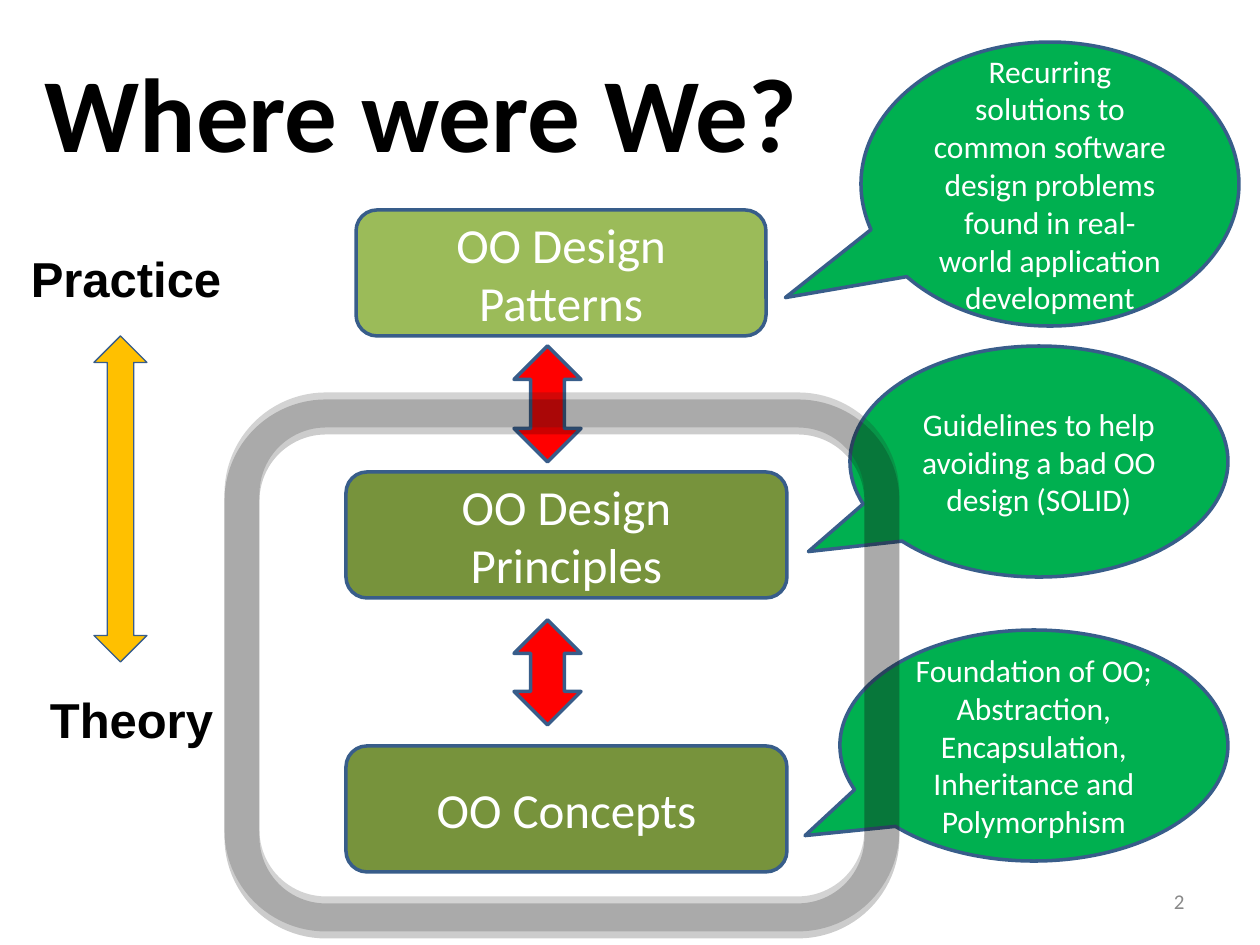
from lxml import etree
from pptx import Presentation
from pptx import util as u
from pptx.dml import color
from pptx.enum import shapes, text
from pptx.oxml import ns

SCALE = 914400 / 126
OUTLINE = "385D8A"
SHAPE = shapes.MSO_SHAPE
ALIGN = text.PP_ALIGN
ANCHOR = text.MSO_ANCHOR


def px(length):
    """Turn picture pixels into EMU."""
    return u.Emu(round(length * SCALE))


def rgb(value):
    """Turn a hex string into a colour."""
    return color.RGBColor.from_string(value)


def write(shape, words, size, hue, font="Calibri", bold=False,
          align=ALIGN.CENTER, anchor=ANCHOR.MIDDLE):
    """Put one formatted run into a shape."""
    frame = shape.text_frame
    frame.word_wrap = True
    frame.auto_size = text.MSO_AUTO_SIZE.NONE
    frame.vertical_anchor = anchor
    paragraph = frame.paragraphs[0]
    paragraph.alignment = align
    run = paragraph.add_run()
    run.text = words
    run.font.size = u.Pt(size)
    run.font.name = font
    run.font.bold = bold
    run.font.color.rgb = rgb(hue)


def add_shape(slide, kind, box, fill, line=OUTLINE, width=2, adjust=()):
    """Add a preset shape with a flat fill and an outline."""
    shape = slide.shapes.add_shape(kind, *map(px, box))
    shape.shadow.inherit = False
    if fill:
        shape.fill.solid()
        shape.fill.fore_color.rgb = rgb(fill)
    else:
        shape.fill.background()
    shape.line.color.rgb = rgb(line)
    shape.line.width = u.Pt(width)
    for index, value in enumerate(adjust):
        shape.adjustments[index] = value
    return shape


def add_label(slide, box, *args, **options):
    """Add a text box."""
    write(slide.shapes.add_textbox(*map(px, box)), *args, **options)


def add_title(slide, box, words):
    """Move and format the title placeholder."""
    title = slide.shapes.title
    title.left, title.top, title.width, title.height = map(px, box)
    write(title, words, 60, "000000", bold=True, align=ALIGN.LEFT)


def add_levels(slide, box):
    """Stack the three levels and the arrows between them."""
    left, top, width, height = box
    levels = [("OO Concepts", 0, 536, width, "77933C"),
              ("OO Design Principles", 0, 262, width, "77933C"),
              ("OO Design Patterns", 10, 0, 410, "9BBB59")]
    for words, dx, dy, level_width, fill in levels:
        level = add_shape(slide, SHAPE.ROUNDED_RECTANGLE,
                          (left + dx, top + dy, level_width, 126), fill)
        write(level, words, 28, "FFFFFF")
    for dy, arrow_height in ((136, 116), (410, 105)):
        add_shape(slide, SHAPE.UP_DOWN_ARROW,
                  (left + 168, top + dy, 67, arrow_height), "FF0000", adjust=(0.5, 0.5))


def add_callouts(slide, box):
    """Place the explanation beside each level."""
    left, top = box[:2]
    callouts = [
        ("Foundation of OO; Abstraction, Encapsulation, Inheritance and Polymorphism",
         (0, 588, 388, 231), (-0.59, 0.39)),
        ("Guidelines to help avoiding a bad OO design (SOLID)",
         (10, 304, 378, 231), (-0.61, 0.39)),
        ("Recurring solutions to common software design problems found in "
         "real-world application development",
         (21, 0, 378, 284), (-0.7, 0.4))]
    for words, (dx, dy, width, height), tip in callouts:
        callout = add_shape(slide, SHAPE.OVAL_CALLOUT,
                            (left + dx, top + dy, width, height), "00B050", adjust=tip)
        write(callout, words, 18, "FFFFFF")


def add_scale(slide, box):
    """Draw the axis from practice to theory."""
    left, top, width, height = box
    add_shape(slide, SHAPE.UP_DOWN_ARROW, (left + 94, top + 94, 53, 326),
              "FFC000", width=0, adjust=(0.5, 0.5))
    for words, label in (("Practice", (left, top, width, 72)),
                         ("Theory", (left + 32, top + height - 72, 199, 72))):
        add_label(slide, label, words, 28, "000000", font="Arial", bold=True,
                  anchor=ANCHOR.TOP)


def add_focus(slide, box):
    """Frame the lower levels with a translucent line and its shadow."""
    frame = add_shape(slide, SHAPE.ROUNDED_RECTANGLE, box, None, "262626", 20)
    properties = frame.fill._xPr
    line_colour = properties.find(".//" + ns.qn("a:ln")).find(".//" + ns.qn("a:srgbClr"))
    etree.SubElement(line_colour, ns.qn("a:alpha"), val="20000")
    shadow = etree.SubElement(properties.find(ns.qn("a:effectLst")), ns.qn("a:outerShdw"),
                              blurRad="0", dist=str(u.Pt(4)), dir="5400000",
                              rotWithShape="0")
    shadow_colour = etree.SubElement(shadow, ns.qn("a:srgbClr"), val="000000")
    etree.SubElement(shadow_colour, ns.qn("a:alpha"), val="100000")


def build():
    """Build and save the slide."""
    presentation = Presentation()
    presentation.slide_width, presentation.slide_height = px(1260), px(945)
    slide = presentation.slides.add_slide(presentation.slide_layouts[5])
    add_title(slide, (32, 32, 987, 158), "Where were We?")
    add_levels(slide, (346, 210, 441, 662))
    add_callouts(slide, (840, 42, 399, 819))
    add_scale(slide, (0, 242, 252, 513))
    add_label(slide, (903, 876, 294, 50), "2", 12, "898989", align=ALIGN.RIGHT)
    add_focus(slide, (242, 410, 640, 504))
    presentation.save("out.pptx")


build()
